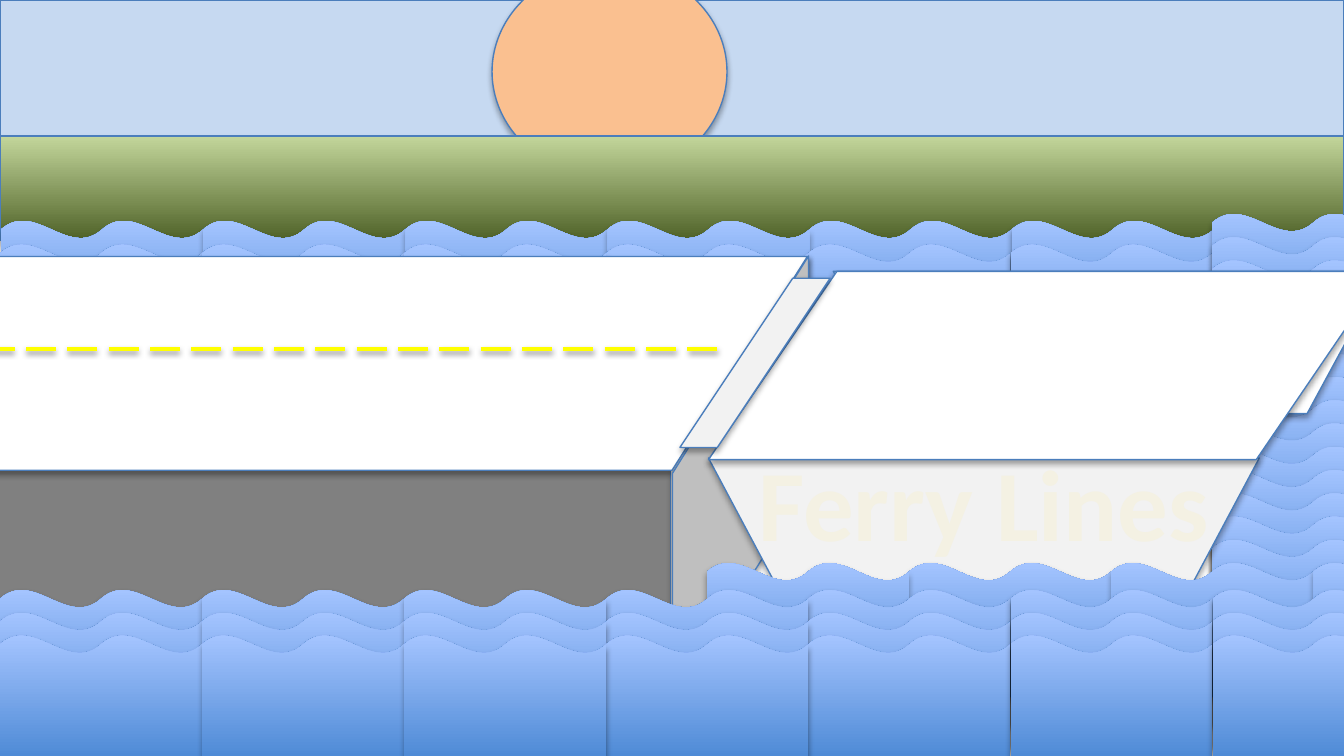
"""Draw a ferry at a pier, with the sun over the shore and waves around."""
import pptx
import pptx.util
import pptx.dml.color
import pptx.enum.dml
import pptx.enum.shapes
import pptx.enum.text
import pptx.oxml
import pptx.oxml.ns

Cm = pptx.util.Cm
Pt = pptx.util.Pt
RGBColor = pptx.dml.color.RGBColor
KIND = pptx.enum.shapes.MSO_SHAPE

SKY = RGBColor(0xC6, 0xD9, 0xF1)
SUN = RGBColor(0xFA, 0xC0, 0x90)
LAND = [RGBColor(0x4F, 0x62, 0x28), RGBColor(0xC3, 0xD6, 0x9B)]
SEA = [RGBColor(0x3F, 0x80, 0xCE), RGBColor(0xA4, 0xC4, 0xFF)]
EDGE = RGBColor(0x4B, 0x7E, 0xBC)
WHITE = RGBColor(0xFF, 0xFF, 0xFF)
PALE = RGBColor(0xF2, 0xF2, 0xF2)
STONE = RGBColor(0xBF, 0xBF, 0xBF)
DARK = RGBColor(0x80, 0x80, 0x80)
YELLOW = RGBColor(0xFF, 0xFF, 0x00)
CREAM = RGBColor(0xF4, 0xF1, 0xE3)

deck = pptx.Presentation()
deck.slide_width, deck.slide_height = Cm(25.4), Cm(14.29)
slide = deck.slides.add_slide(deck.slide_layouts[6])
shapes = slide.shapes


def form(kind, box, fill, adj=None, flip=False):
    item = shapes.add_shape(kind, *[Cm(size) for size in box])
    if isinstance(fill, list):
        item.fill.gradient()
        item.fill.gradient_angle = 90
        for stop, tone in zip(item.fill.gradient_stops, fill):
            stop.color.rgb = tone
    else:
        item.fill.solid()
        item.fill.fore_color.rgb = fill
    if adj is not None:
        item.adjustments[0] = adj
    if flip:
        item.element.spPr.find(pptx.oxml.ns.qn("a:xfrm")).set("flipV", "1")
    item.line.width = Pt(0.75)
    item.line.color.rgb = EDGE
    return item


def waves(left, top, cols):
    for col in cols:
        wave = form(KIND.DOUBLE_WAVE, (left + col * 3.82, top, 3.82, 2.71), SEA)
        wave.line.fill.background()


form(KIND.RECTANGLE, (0, 0, 25.4, 3.35), SKY)
form(KIND.OVAL, (9.3, -0.64, 4.44, 3.99), SUN)
form(KIND.RECTANGLE, (0, 2.57, 25.4, 1.98), LAND)

waves(0.02, 4.17, (0, 1, 2, 4, 5, 3))
waves(0, 4.62, (0, 1, 4, 5, 3, 2))
for row in range(15):
    waves(22.91, 4.04 + row * 0.44, (0,))

form(KIND.RECTANGLE, (-1.73, 8.89, 14.4, 4.04), DARK)
form(KIND.PARALLELOGRAM, (-2.57, 4.85, 17.83, 4.04), WHITE, 0.633)
waves(0, 11.15, (0, 1))
side = form(KIND.PARALLELOGRAM, (9.78, 7.77, 8.43, 2.57), STONE, 1.598, True)
side.rotation = 270

form(KIND.TRAPEZOID, (15.75, 5.13, 10.41, 2.69), WHITE, 0.541, True)
form(KIND.TRAPEZOID, (13.39, 8.66, 10.41, 2.69), PALE, 0.532, True)
form(KIND.PARALLELOGRAM, (13.39, 5.13, 12.78, 3.56), WHITE, 0.682)
waves(13.36, 10.64, (1, 2, 3, 0))
waves(0, 11.15, (4, 5, 6, 3))

lane = shapes.add_connector(
    pptx.enum.shapes.MSO_CONNECTOR.STRAIGHT, Cm(-1.07), Cm(6.6), Cm(13.74), Cm(6.6))
lane.line.color.rgb = YELLOW
look = {"width": Pt(2), "dash_style": pptx.enum.dml.MSO_LINE.LONG_DASH}
for key, value in look.items():
    setattr(lane.line, key, value)
waves(0, 11.15, (2,))

label = shapes.add_textbox(Cm(14.02), Cm(8.2), Cm(9.14), Cm(2.57))
frame = label.text_frame
frame.word_wrap = False
frame.auto_size = pptx.enum.text.MSO_AUTO_SIZE.SHAPE_TO_FIT_TEXT
para = frame.paragraphs[0]
para.alignment = pptx.enum.text.PP_ALIGN.CENTER
run = para.add_run()
run.text = "Ferry Lines"
for key, value in {"name": "Calibri", "size": Pt(54), "bold": True}.items():
    setattr(run.font, key, value)
run.font.color.rgb = CREAM
rim = pptx.oxml.parse_xml(
    '<a:ln %s w="12700"><a:solidFill><a:srgbClr val="054697"/></a:solidFill></a:ln>'
    % pptx.oxml.ns.nsdecls("a"))
run.font._element.insert(0, rim)

form(KIND.PARALLELOGRAM, (12.85, 5.26, 2.84, 3.2), PALE, 0.751)
for top in (11.58, 12.01):
    waves(0, top, (0, 1, 4, 5, 6, 3, 2))

deck.save("out.pptx")
